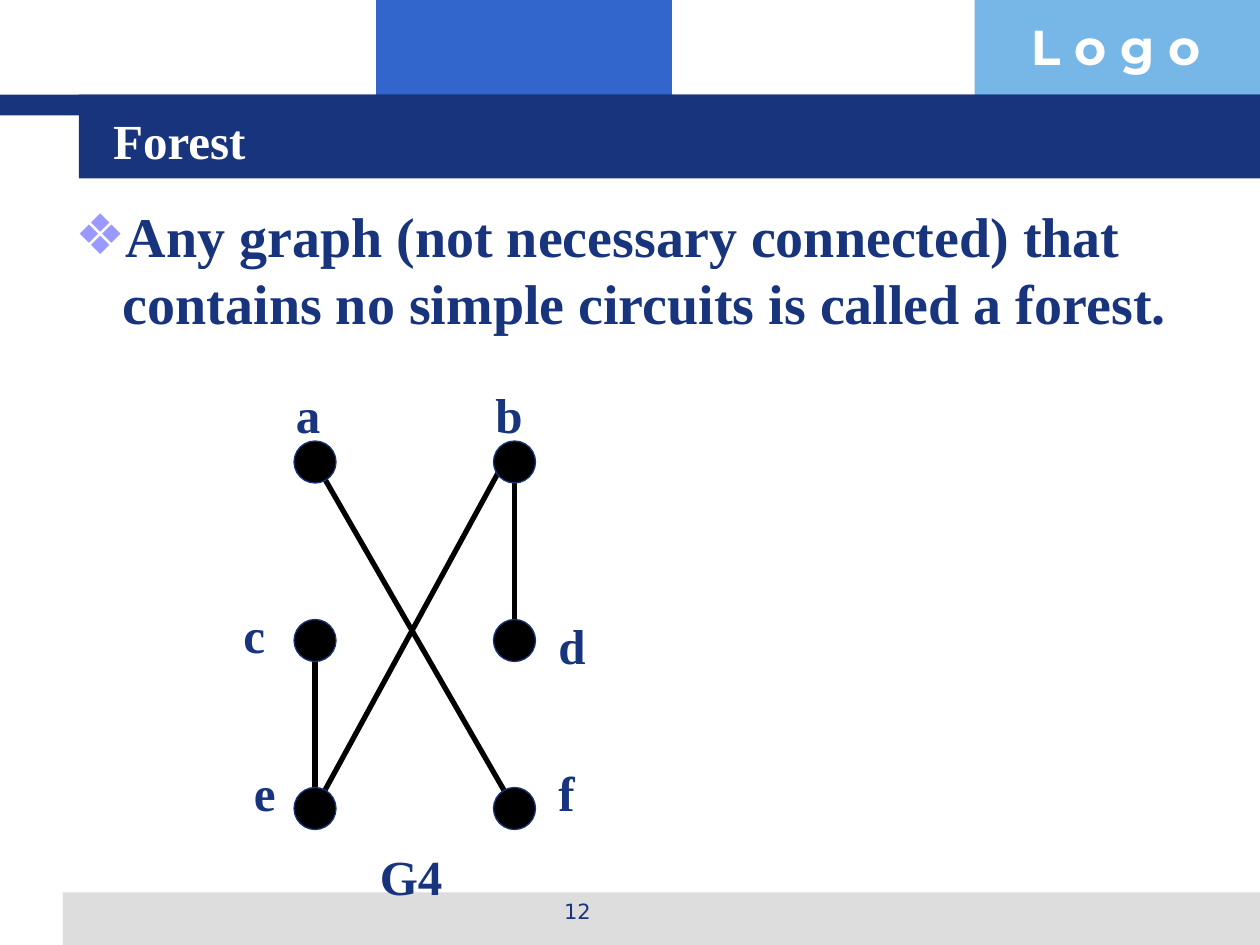
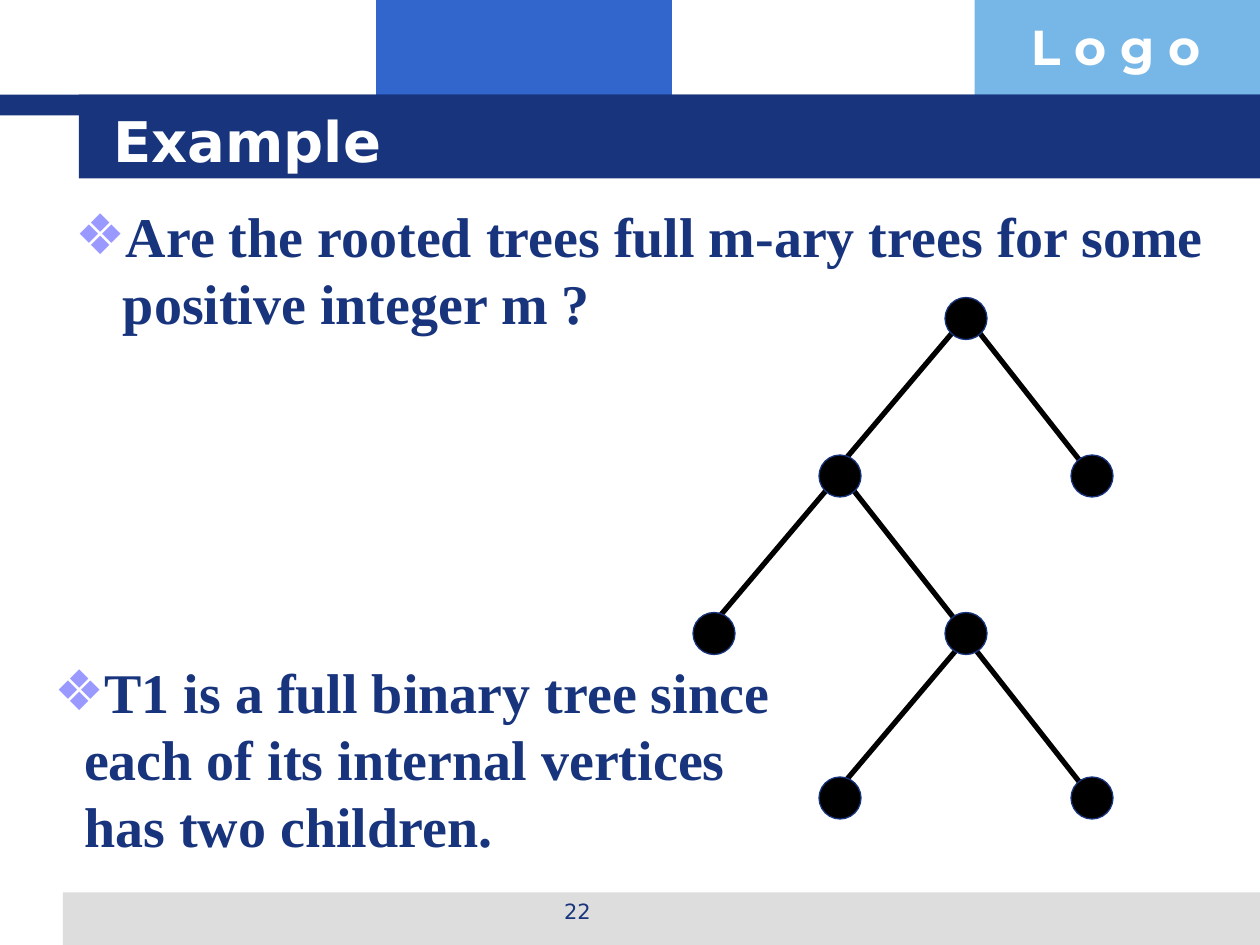
from lxml.etree import SubElement
from pptx import Presentation
from pptx.dml.color import RGBColor
from pptx.enum.shapes import MSO_CONNECTOR, MSO_SHAPE
from pptx.enum.text import MSO_ANCHOR, MSO_AUTO_SIZE, PP_ALIGN
from pptx.oxml.ns import qn
from pptx.util import Pt

COLORS = {
    "navy": "17347D",
    "blue": "3366CC",
    "sky": "77B7E7",
    "gray": "DDDDDD",
    "bullet": "9999FF",
    "black": "000000",
    "white": "FFFFFF",
}
SERIF = "Times New Roman"
SANS = "DejaVu Sans"
DISPLAY = "Montserrat"

BANDS = [
    (215, 0, 169, 66, "blue"),
    (557, 0, 163, 66, "sky"),
    (36, 510, 684, 30, "gray"),
    (0, 54, 720, 12, "navy"),
    (45, 54, 675, 48, "navy"),
]
NODE_SIZE = 24

FOREST_NODES = {
    "a": (180, 264), "b": (294, 264),
    "c": (180, 366), "d": (294, 366),
    "e": (180, 462), "f": (294, 462),
}
FOREST_EDGES = [("c", "e", 0), ("b", "e", -6), ("a", "f", 0), ("b", "d", 0)]
FOREST_LABELS = [
    ("a", 162, 216, 30), ("b", 276, 216, 30),
    ("c", 132, 342, 30), ("d", 312, 348, 30),
    ("e", 138, 432, 30), ("f", 312, 432, 30),
    ("G4", 210, 480, 54),
]

TREE_NODES = {
    "root": (552, 182),
    "left": (480, 272), "right": (624, 272),
    "left leaf": (408, 362), "inner": (552, 362),
    "inner left": (480, 456), "inner right": (624, 456),
}
TREE_BRANCHES = [
    ("root", "left", "right", 6),
    ("left", "left leaf", "inner", 6),
    ("inner", "inner left", "inner right", 10),
]


def rgb(name):
    return RGBColor.from_string(COLORS[name])


def place(shape, left, top, width, height):
    shape.left, shape.top = Pt(left), Pt(top)
    shape.width, shape.height = Pt(width), Pt(height)


def format_paragraph(paragraph, size, color="navy", name=SERIF, bold=True,
                     alignment=PP_ALIGN.LEFT):
    paragraph.alignment = alignment
    paragraph.space_before = Pt(0)
    font = paragraph.font
    font.size, font.name, font.bold = Pt(size), name, bold
    font.color.rgb = rgb(color)


def add_text(slide, text, left, top, width, height, size, **style):
    box = slide.shapes.add_textbox(Pt(left), Pt(top), Pt(width), Pt(height))
    box.text_frame.word_wrap = True
    box.text_frame.text = text
    format_paragraph(box.text_frame.paragraphs[0], size, **style)
    return box


def add_bullet(paragraph, indent):
    properties = paragraph._p.get_or_add_pPr()
    properties.set("marL", str(Pt(indent)))
    properties.set("indent", str(-Pt(indent)))
    color = SubElement(properties, qn("a:buClr"))
    SubElement(color, qn("a:srgbClr"), val=COLORS["bullet"])
    SubElement(properties, qn("a:buFont"), typeface=SANS)
    SubElement(properties, qn("a:buChar"), char="❖")


def fill_bullet_text(shape, text, indent):
    frame = shape.text_frame
    frame.word_wrap = True
    frame.auto_size = MSO_AUTO_SIZE.NONE
    frame.text = text
    paragraph = frame.paragraphs[0]
    add_bullet(paragraph, indent)
    format_paragraph(paragraph, 32)


def add_shape(slide, kind, left, top, width, height, fill):
    shape = slide.shapes.add_shape(kind, Pt(left), Pt(top), Pt(width), Pt(height))
    shape.shadow.inherit = False
    shape.fill.solid()
    shape.fill.fore_color.rgb = rgb(fill)
    shape.line.fill.background()
    return shape


def add_node(slide, center):
    x, y = center
    node = add_shape(slide, MSO_SHAPE.OVAL, x - NODE_SIZE / 2, y - NODE_SIZE / 2,
                     NODE_SIZE, NODE_SIZE, "black")
    node.line.color.rgb = rgb("navy")
    node.line.width = Pt(0.75)


def add_edge(slide, start, end):
    edge = slide.shapes.add_connector(
        MSO_CONNECTOR.STRAIGHT, *(Pt(value) for value in (*start, *end)))
    edge.line.color.rgb = rgb("black")
    edge.line.width = Pt(3)
    SubElement(edge.element.spPr, qn("a:effectLst"))


def add_base_slide(presentation, title_text, title_size, title_font,
                   body_text, body_width, body_height, number):
    slide = presentation.slides.add_slide(presentation.slide_layouts[1])
    title, body = slide.placeholders[0], slide.placeholders[1]
    for *bounds, color in BANDS:
        add_shape(slide, MSO_SHAPE.RECTANGLE, *bounds, color)
    add_text(slide, "L o g o", 582, 6, 138, 41, 28, color="white", name=DISPLAY)
    add_text(slide, number, 246, 510, 168, 25, 12, name=SANS, bold=False,
             alignment=PP_ALIGN.CENTER)
    for placeholder in (title, body):
        placeholder.element.getparent().append(placeholder.element)

    place(title, 57.5, 57.5, 614, 45)
    title.text_frame.auto_size = MSO_AUTO_SIZE.NONE
    title.text_frame.vertical_anchor = MSO_ANCHOR.MIDDLE
    title.text_frame.text = title_text
    format_paragraph(title.text_frame.paragraphs[0], title_size,
                     color="white", name=title_font)

    place(body, 36, 111.5, body_width, body_height)
    fill_bullet_text(body, body_text, 27)
    return slide


def add_forest_graph(slide):
    for start, end, shift in FOREST_EDGES:
        x, y = FOREST_NODES[start]
        add_edge(slide, (x + shift, y), FOREST_NODES[end])
    for center in FOREST_NODES.values():
        add_node(slide, center)
    for text, left, top, width in FOREST_LABELS:
        add_text(slide, text, left, top, width, 41, 28)


def add_binary_tree(slide):
    for parent, left_child, right_child, drop in TREE_BRANCHES:
        x, y = TREE_NODES[parent]
        left_x, left_y = TREE_NODES[left_child]
        add_edge(slide, (x - 6, y + drop), (left_x, left_y - 6))
        add_edge(slide, (x + 6, y + drop), TREE_NODES[right_child])
    for center in TREE_NODES.values():
        add_node(slide, center)


def main():
    presentation = Presentation()
    presentation.slide_width, presentation.slide_height = Pt(720), Pt(540)

    forest = add_base_slide(
        presentation, "Forest", 28, SERIF,
        "Any graph (not necessary connected) that contains no simple circuits "
        "is called a forest.", 672, 384, "12")
    add_forest_graph(forest)

    example = add_base_slide(
        presentation, "Example", 32, SANS,
        "Are the rooted trees full m-ary trees for some positive integer m ?",
        666, 92, "22")
    answer = example.shapes.add_textbox(Pt(24), Pt(372), Pt(438), Pt(122))
    fill_bullet_text(
        answer, "T1 is a full binary tree since each of its internal vertices "
        "has two children.", 17)
    add_binary_tree(example)

    presentation.save("out.pptx")


if __name__ == "__main__":
    main()
